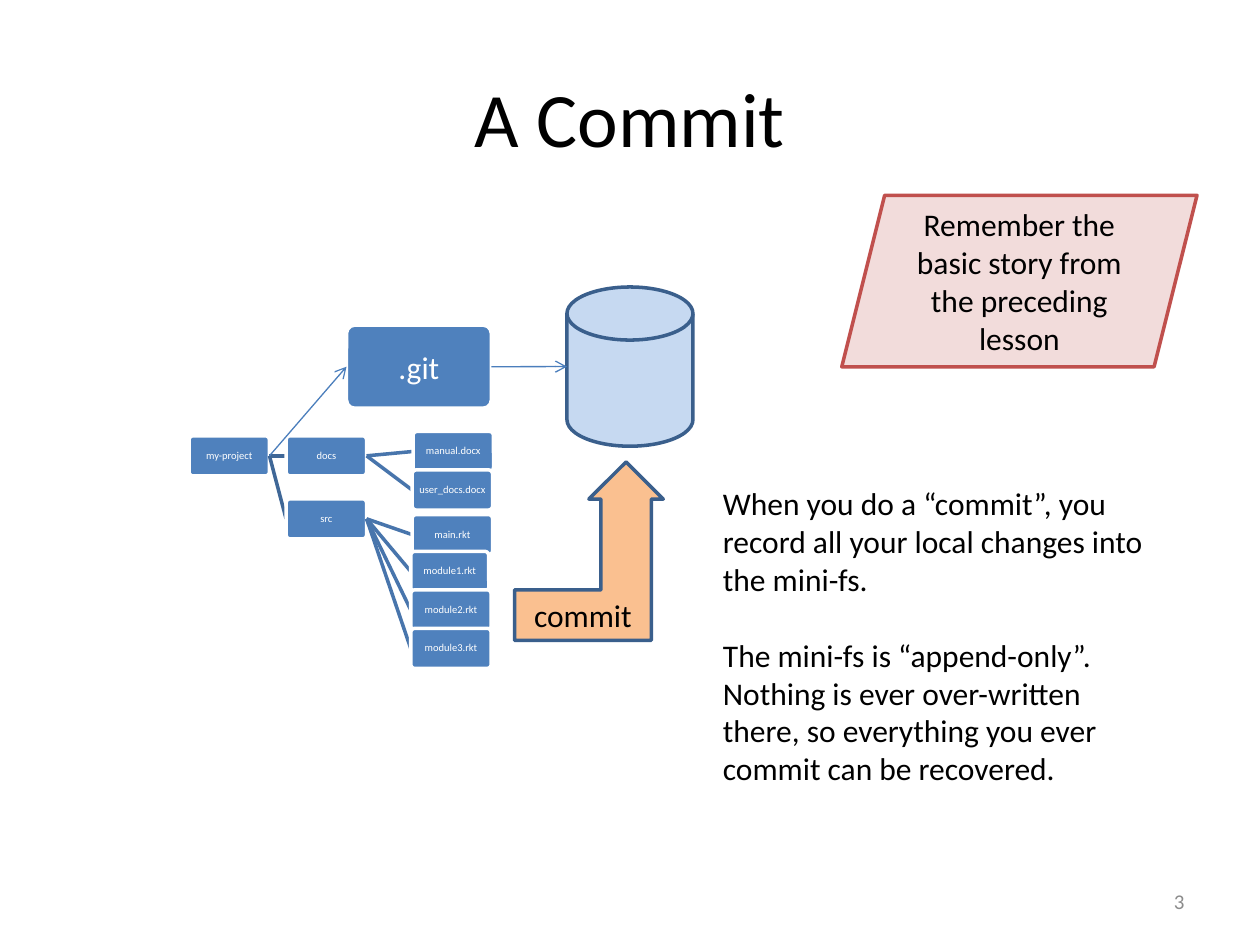
from dataclasses import dataclass

from lxml import etree
from pptx import Presentation
from pptx.dml.color import RGBColor
from pptx.enum import shapes, text
from pptx.oxml import ns
from pptx.util import Pt

SHAPE = shapes.MSO_SHAPE
ALIGN = text.PP_ALIGN
ANCHOR = text.MSO_ANCHOR


@dataclass(frozen=True)
class Theme:
    font: str = "Calibri"
    black: str = "000000"
    white: str = "FFFFFF"
    grey: str = "8C8C8C"
    blue: str = "4F81BD"
    pale_blue: str = "C6D9F1"
    dark_blue: str = "3A5F8C"
    root_branch: str = "3F6797"
    leaf_branch: str = "4875AC"
    arrow: str = "4B7EBC"
    orange: str = "FAC090"
    pink: str = "F2DCDB"
    red: str = "C0504D"
    title: float = 44
    body: float = 18
    number: float = 12
    node: float = 6
    outline: float = 2
    thin: float = 0.75


@dataclass(frozen=True)
class Box:
    x: float
    y: float
    w: float
    h: float

    @property
    def left_mid(self) -> tuple[float, float]:
        return self.x, self.y + self.h / 2

    @property
    def right_mid(self) -> tuple[float, float]:
        return self.x + self.w, self.y + self.h / 2

    def lengths(self) -> list[Pt]:
        return [Pt(v) for v in (self.x, self.y, self.w, self.h)]


@dataclass(frozen=True)
class Node:
    label: str
    x: float
    y: float
    parent: str = ""
    w: float = 46

    @property
    def box(self) -> Box:
        return Box(self.x, self.y, self.w, 23)


T = Theme()
ROOT = "my-project"
TREE = [
    Node(ROOT, 108, 249),
    Node("docs", 163.5, 249, ROOT),
    Node("manual.docx", 236, 246.5, "docs"),
    Node("user_docs.docx", 235.5, 268.5, "docs"),
    Node("src", 163.5, 285, ROOT),
    Node("main.rkt", 235.5, 294, "src"),
    Node("module1.rkt", 234.7, 315, "src", 44.6),
    Node("module2.rkt", 234.7, 337, "src"),
    Node("module3.rkt", 234.7, 359, "src"),
]
GIT = Box(198, 185.8, 82.8, 47.5)
STORE = Box(324, 164, 72, 91)


def write(tf, words: str, size: float, color: str, align=ALIGN.CENTER,
          anchor=ANCHOR.MIDDLE) -> None:
    tf.text = words
    tf.word_wrap = True
    tf.vertical_anchor = anchor
    for p in tf.paragraphs:
        p.alignment = align
        for r in p.runs:
            r.font.name = T.font
            r.font.size = Pt(size)
            r.font.color.rgb = RGBColor.from_string(color)


def add_block(s, kind, box: Box, fill: str, line: str, words: str = "",
              size: float = T.body, color: str = T.black):
    sp = s.shapes.add_shape(kind, *box.lengths())
    sp.shadow.inherit = False
    sp.fill.solid()
    sp.fill.fore_color.rgb = RGBColor.from_string(fill)
    sp.line.color.rgb = RGBColor.from_string(line)
    sp.line.width = Pt(T.outline)
    if words:
        write(sp.text_frame, words, size, color)
    return sp


def add_rounded(s, box: Box, words: str, size: float):
    sp = add_block(s, SHAPE.ROUNDED_RECTANGLE, box, T.blue, T.white, words, size, T.white)
    sp.adjustments[0] = 0.1
    return sp


def add_line(s, start: tuple, end: tuple, color: str, width: float,
             arrow: bool = False) -> None:
    points = [Pt(v) for v in (*start, *end)]
    cx = s.shapes.add_connector(shapes.MSO_CONNECTOR.STRAIGHT, *points)
    cx.line.color.rgb = RGBColor.from_string(color)
    cx.line.width = Pt(width)
    if arrow:
        etree.SubElement(cx.line._get_or_add_ln(), ns.qn("a:tailEnd"), type="arrow")
    etree.SubElement(cx._element.spPr, ns.qn("a:effectLst"))


def add_tree(s, nodes: list[Node]) -> None:
    """Draw each node above the branch that leads to it."""
    boxes = {n.label: n.box for n in nodes}
    for n in nodes:
        if n.parent:
            color = T.root_branch if n.parent == ROOT else T.leaf_branch
            add_line(s, boxes[n.parent].right_mid, n.box.left_mid, color, T.outline)
        tf = add_rounded(s, n.box, n.label, T.node).text_frame
        tf.margin_left = tf.margin_right = tf.margin_top = tf.margin_bottom = 0
        tf.paragraphs[0].line_spacing = 0.9


def add_text(s, box: Box, words: str, size: float, color: str, align, anchor):
    tf = s.shapes.add_textbox(*box.lengths()).text_frame
    write(tf, words, size, color, align, anchor)
    return tf


def main() -> None:
    prs = Presentation()
    prs.slide_width, prs.slide_height = Pt(720), Pt(540)
    s = prs.slides.add_slide(prs.slide_layouts[5])

    title = s.shapes.title
    title.left, title.top, title.width, title.height = Box(36, 21.6, 648, 90).lengths()
    write(title.text_frame, "A Commit", T.title, T.black)

    add_tree(s, TREE)
    add_rounded(s, GIT, ".git", T.body)
    add_block(s, SHAPE.FLOWCHART_MAGNETIC_DISK, STORE, T.pale_blue, T.dark_blue)
    add_line(s, GIT.right_mid, STORE.left_mid, T.arrow, T.thin, arrow=True)
    add_line(s, TREE[0].box.right_mid, GIT.left_mid, T.arrow, T.thin, arrow=True)

    commit = add_block(s, SHAPE.BENT_UP_ARROW, Box(294, 264, 85, 102),
                       T.orange, T.dark_blue, "commit")
    commit.adjustments[0] = 0.339

    tf = add_text(s, Box(406, 273, 264, 181.5),
                  "When you do a “commit”, you record all your local changes into "
                  "the mini-fs.\n"
                  "The mini-fs is “append-only”.  Nothing is ever over-written there, "
                  "so everything you ever commit can be recovered.",
                  T.body, T.black, ALIGN.LEFT, ANCHOR.TOP)
    tf.paragraphs[1].space_before = Pt(22)

    add_block(s, SHAPE.PARALLELOGRAM, Box(481, 111.6, 203, 98), T.pink, T.red,
              "Remember the basic story from the preceding lesson")
    add_text(s, Box(516, 500.5, 168, 28.75), "3", T.number, T.grey,
             ALIGN.RIGHT, ANCHOR.MIDDLE)

    prs.save("out.pptx")


if __name__ == "__main__":
    main()
